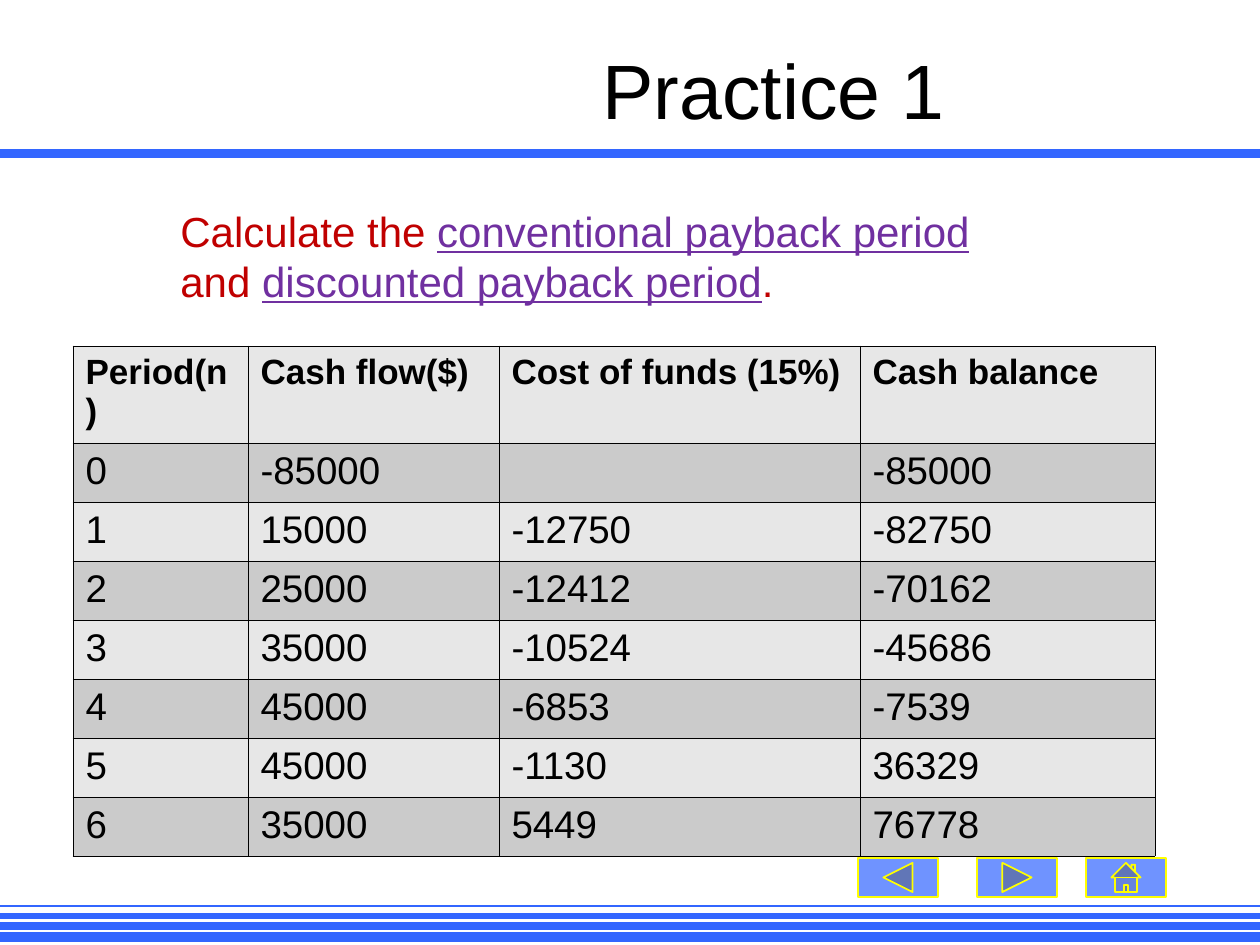
from lxml import etree
from pptx import Presentation
from pptx.dml.color import RGBColor
from pptx.enum.shapes import MSO_CONNECTOR, MSO_SHAPE
from pptx.enum.text import MSO_ANCHOR, PP_ALIGN
from pptx.oxml.ns import qn
from pptx.util import Pt

RECT = MSO_SHAPE.RECTANGLE
BACK = MSO_SHAPE.ACTION_BUTTON_BACK_OR_PREVIOUS
NEXT = MSO_SHAPE.ACTION_BUTTON_FORWARD_OR_NEXT
HOME = MSO_SHAPE.ACTION_BUTTON_HOME
STRAIGHT = MSO_CONNECTOR.STRAIGHT
CENTER, MIDDLE = PP_ALIGN.CENTER, MSO_ANCHOR.MIDDLE

FONT = "Arial"
BLACK, BLUE, YELLOW = "000000", "3366FF", "FFFF00"
RED, PURPLE = "C00000", "7030A0"
ROW_FILLS = ("E7E7E7", "CBCBCB")

TITLE = "Practice 1"
TASK = [  # text, is a key term
    ("Calculate the ", False),
    ("conventional payback period", True),
    (" and ", False),
    ("discounted payback period", True),
    (".", False),
]
CASH_FLOWS = [
    ("Period(n)", "Cash flow($)", "Cost of funds (15%)", "Cash balance"),
    ("0", "-85000", "", "-85000"),
    ("1", "15000", "-12750", "-82750"),
    ("2", "25000", "-12412", "-70162"),
    ("3", "35000", "-10524", "-45686"),
    ("4", "45000", "-6853", "-7539"),
    ("5", "45000", "-1130", "36329"),
    ("6", "35000", "5449", "76778"),
]
COL_WIDTHS = (175, 251, 361, 295)
HEADER_HEIGHT, ROW_HEIGHT = 97, 59
FOOTER_LINES = [(937, 6), (926, 4.5), (916, 3), (906, 1.5)]  # y, points
BUTTONS = [(NEXT, 977), (BACK, 858), (HOME, 1086)]  # shape, left

SLIDE_W, SLIDE_H = 1260, 945


def px(n):
    return round(n * 914400 / 126)


def rgb(color):
    return RGBColor.from_string(color)


def set_font(font, size, color=None, bold=None):
    font.name, font.size, font.bold = FONT, Pt(size), bold
    if color:
        font.color.rgb = rgb(color)


def add_filled(kind, x, y, w, h, color):
    sp = s.shapes.add_shape(kind, px(x), px(y), px(w), px(h))
    sp.shadow.inherit = False
    sp.fill.solid()
    sp.fill.fore_color.rgb = rgb(color)
    sp.line.fill.background()
    return sp


def add_text_box(x, y, w, h):
    tf = s.shapes.add_textbox(px(x), px(y), px(w), px(h)).text_frame
    tf.word_wrap = True
    return tf


def add_button(kind, x):
    sp = add_filled(kind, x, 858, 80, 39, BLUE)
    color = sp.fill._xPr.find(qn("a:solidFill"))[0]
    etree.SubElement(color, qn("a:alpha")).set("val", "70000")
    sp.line.color.rgb = rgb(YELLOW)
    sp.line.width = Pt(1)


def add_footer_line(y, weight):
    line = s.shapes.add_connector(STRAIGHT, 0, px(y), px(SLIDE_W), px(y))
    line.line.color.rgb = rgb(BLUE)
    line.line.width = Pt(weight)
    etree.SubElement(line._element.spPr, qn("a:effectLst"))


def set_borders(cell):
    tc_pr = cell._tc.get_or_add_tcPr()
    for i, side in enumerate(("lnL", "lnR", "lnT", "lnB")):
        ln = etree.Element(qn(f"a:{side}"), w=str(Pt(0.45)))
        fill = etree.SubElement(ln, qn("a:solidFill"))
        etree.SubElement(fill, qn("a:srgbClr"), val=BLACK)
        tc_pr.insert(i, ln)  # borders come before the fill


def add_cash_flow_table(x, y):
    heights = [HEADER_HEIGHT] + [ROW_HEIGHT] * (len(CASH_FLOWS) - 1)
    table = s.shapes.add_table(
        len(heights), len(COL_WIDTHS), px(x), px(y),
        px(sum(COL_WIDTHS)), px(sum(heights))).table
    for column, width in zip(table.columns, COL_WIDTHS):
        column.width = px(width)
    for r, (values, height) in enumerate(zip(CASH_FLOWS, heights)):
        table.rows[r].height = px(height)
        for c, value in enumerate(values):
            cell = table.cell(r, c)
            cell.text = value
            set_font(cell.text_frame.paragraphs[0].font,
                     22 if r else 20, BLACK, r == 0)
            cell.fill.solid()
            cell.fill.fore_color.rgb = rgb(ROW_FILLS[r % 2])
            set_borders(cell)


prs = Presentation()
prs.slide_width, prs.slide_height = px(SLIDE_W), px(SLIDE_H)
s = prs.slides.add_slide(prs.slide_layouts[6])

add_filled(RECT, 0, 149, SLIDE_W, 9, BLUE)
for kind, left in BUTTONS:
    add_button(kind, left)
for y, weight in FOOTER_LINES:
    add_footer_line(y, weight)

tf = add_text_box(207, 39, 1134, 100)
tf.vertical_anchor = MIDDLE
p = tf.paragraphs[0]
p.text, p.alignment = TITLE, CENTER
set_font(p.font, 44, BLACK)

add_cash_flow_table(73, 346)

p = add_text_box(168, 199, 892, 113).paragraphs[0]
set_font(p.font, 24)
for text, is_term in TASK:
    r = p.add_run()
    r.text = text
    r.font.color.rgb = rgb(PURPLE if is_term else RED)
    r.font.underline = is_term

prs.save("out.pptx")
